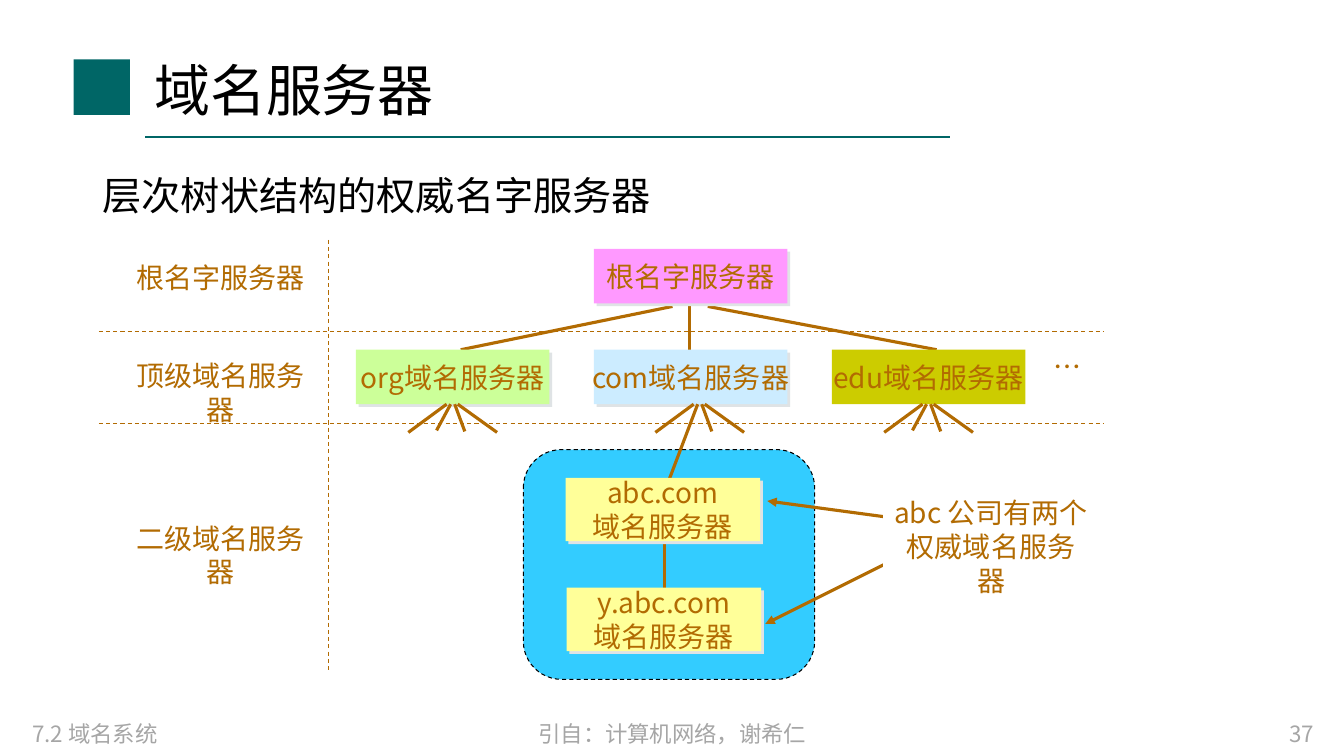
from lxml import etree
from pptx import Presentation
from pptx import util as u
from pptx.dml.color import RGBColor
from pptx.enum import dml, shapes, text
from pptx.oxml import ns

COLORS = {
    "teal": "006666", "black": "000000", "gray": "A6A6A6", "brown": "B26B02",
    "white": "FFFFFF", "cyan": "33CCFF", "pink": "FF99FF", "green": "CCFF99",
    "blue": "CCECFF", "olive": "CCCC00", "yellow": "FFFF99", "shadow": "DFE3E5",
}
FONT = "Noto Sans CJK SC"
ALIGN = text.PP_ALIGN
ANCHOR = text.MSO_ANCHOR
NODE_W = 1.92
TOP_Y, TOP_H = 3.47, 0.54


def rgb(name):
    """Return the palette colour called name."""
    return RGBColor.from_string(COLORS[name])


def write(frame, content, size=20, color="brown", align=ALIGN.CENTER,
          anchor=ANCHOR.TOP, wrap=True, spacing=1.2):
    """Fill a text frame, one paragraph per line of content."""
    frame.word_wrap = wrap
    frame.vertical_anchor = anchor
    for index, line in enumerate(content.split("\n")):
        paragraph = frame.add_paragraph() if index else frame.paragraphs[0]
        paragraph.alignment = align
        paragraph.line_spacing = u.Pt(round(size * spacing))
        run = paragraph.add_run()
        run.text = line
        run.font.size = u.Pt(size)
        run.font.name = FONT
        run.font.color.rgb = rgb(color)
        east_asian = etree.SubElement(run.font._element, ns.qn("a:ea"))
        east_asian.set("typeface", FONT)


def label(slide, box, content, **style):
    """Add a text box."""
    frame = slide.shapes.add_textbox(*map(u.Inches, box)).text_frame
    write(frame, content, **style)


def block(slide, box, fill, kind=shapes.MSO_SHAPE.RECTANGLE):
    """Add a filled shape without outline or shadow."""
    shape = slide.shapes.add_shape(kind, *map(u.Inches, box))
    shape.shadow.inherit = False
    shape.fill.solid()
    shape.fill.fore_color.rgb = rgb(fill)
    shape.line.fill.background()
    return shape


def server(slide, box, fill, content, raised=True):
    """Add a name server box, with an offset shadow when raised."""
    node = block(slide, box, fill)
    if raised:
        effects = node._element.spPr.find(ns.qn("a:effectLst"))
        shadow = etree.SubElement(effects, ns.qn("a:outerShdw"), blurRad="0",
                                  dist=str(u.Pt(2.8)), dir="2700000",
                                  algn="ctr", rotWithShape="0")
        etree.SubElement(shadow, ns.qn("a:srgbClr"), val=COLORS["shadow"])
    write(node.text_frame, content, anchor=ANCHOR.MIDDLE, wrap=False)


def line(slide, start, end, color="brown", width=2.25, dashed=False, arrow=False):
    """Add a straight line from start to end."""
    link = slide.shapes.add_connector(shapes.MSO_CONNECTOR.STRAIGHT,
                                      *map(u.Inches, (*start, *end)))
    link.line.color.rgb = rgb(color)
    link.line.width = u.Pt(width)
    if dashed:
        link.line.dash_style = dml.MSO_LINE.DASH
    if arrow:
        etree.SubElement(link.line._get_or_add_ln(), ns.qn("a:tailEnd"),
                         type="triangle")
    etree.SubElement(link._element.spPr, ns.qn("a:effectLst"))


def branches(slide, center, inner_left=(-0.16, 4.27)):
    """Fan four branches out below a top-level server."""
    y = TOP_Y + TOP_H
    ends = ((0.05, 0.44, 4.29), (0.02, 0.12, 4.28), (-0.06, -0.44, 4.29),
            (-0.02, *inner_left))
    for from_dx, to_dx, end_y in ends:
        line(slide, (center + from_dx, y), (center + to_dx, end_y))


def page_frame(slide):
    """Add the title, its rule and the footer."""
    block(slide, (0.73, 0.59, 0.56, 0.55), "teal")
    line(slide, (1.44, 1.36), (9.42, 1.36), color="teal", width=1.5)
    label(slide, (1.43, 0.4, 9.38, 0.96), "域名服务器", size=40, color="black",
          align=ALIGN.LEFT, anchor=ANCHOR.MIDDLE)
    footers = ((0.22, 3, "7.2 域名系统", ALIGN.LEFT),
               (4.42, 4.5, "引自：计算机网络，谢希仁", ALIGN.CENTER),
               (9.5, 3.63, "37", ALIGN.RIGHT))
    for left, width, content, align in footers:
        label(slide, (left, 7.1, width, 0.4), content, size=16, color="gray",
              align=align)


def server_tree(slide):
    """Add the tree of name servers."""
    zone = block(slide, (5.19, 4.46, 2.89, 2.28), "cyan",
                 shapes.MSO_SHAPE.ROUNDED_RECTANGLE)
    zone.line.color.rgb = rgb("black")
    zone.line.width = u.Pt(0.75)
    zone.line.dash_style = dml.MSO_LINE.DASH

    for root_x, top_x in ((6.67, 4.57), (6.84, 6.84), (7.02, 9.29)):
        line(slide, (root_x, 3.04), (top_x, TOP_Y))
    server(slide, (5.89, 2.47, NODE_W, TOP_H), "pink", "根名字服务器")
    top_level = (("org", "green", True), ("com", "blue", True),
                 ("edu", "olive", False))
    for index, (domain, fill, raised) in enumerate(top_level):
        server(slide, (3.53 + 2.36 * index, TOP_Y, NODE_W, TOP_H), fill,
               f"{domain}域名服务器", raised=raised)
    label(slide, (10.35, 3.42, 0.43, 0.44), "…", align=ALIGN.LEFT, wrap=False)

    branches(slide, 4.49)
    branches(slide, 9.21)
    branches(slide, 6.94, inner_left=(-0.3, 4.75))
    line(slide, (6.59, 5.29), (6.59, 5.83))
    for left, top, domain in ((5.61, 4.74, "abc.com"), (5.62, 5.83, "y.abc.com")):
        server(slide, (left, top, 1.93, 0.63), "yellow", f"{domain}\n域名服务器")


def levels(slide):
    """Add the level names and the dashed dividers."""
    for y in (3.29, 4.2):
        line(slide, (0.98, y), (10.95, y), width=0.75, dashed=True)
    line(slide, (3.26, 2.38), (3.26, 6.65), width=0.75, dashed=True)
    names = ((1.25, 2.54, 1.87, "根名字服务器"),
             (1.12, 3.51, 2.14, "顶级域名服务器"),
             (1.12, 5.12, 2.14, "二级域名服务器"))
    for left, top, width, name in names:
        label(slide, (left, top, width, 0.44), name)


def company_note(slide):
    """Add the note on the company's servers and its two arrows."""
    line(slide, (9.02, 5.16), (7.61, 4.97), arrow=True)
    line(slide, (9.03, 5.47), (7.59, 6.19), arrow=True)
    note = block(slide, (8.76, 4.87, 2.14, 0.77), "white")
    write(note.text_frame, "abc 公司有两个\n权威域名服务器")


def main():
    """Build and save the slide."""
    deck = Presentation()
    deck.slide_width, deck.slide_height = u.Inches(13.33), u.Inches(7.5)
    slide = deck.slides.add_slide(deck.slide_layouts[6])
    page_frame(slide)
    label(slide, (0.92, 1.48, 9.21, 0.86), "层次树状结构的权威名字服务器",
          size=28, color="black", align=ALIGN.JUSTIFY, spacing=1.63)
    server_tree(slide)
    levels(slide)
    company_note(slide)
    deck.save("out.pptx")


if __name__ == "__main__":
    main()
